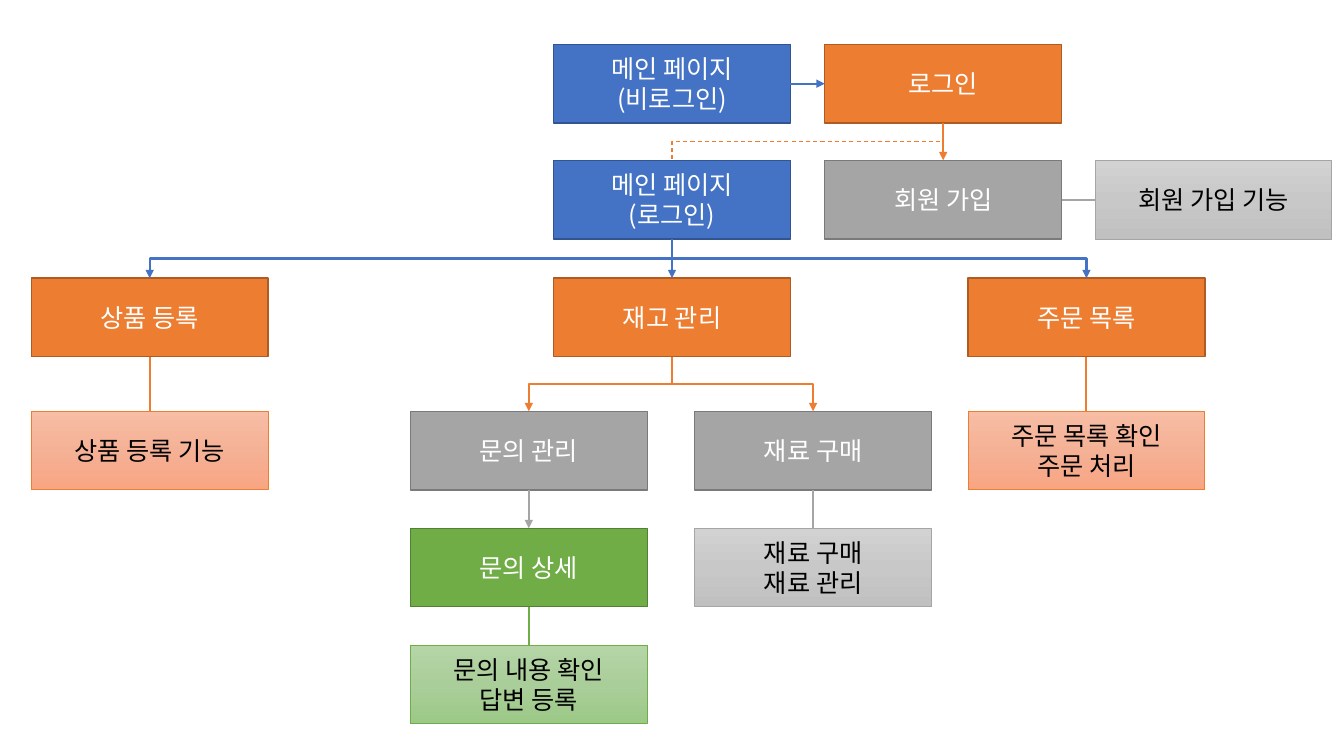
from copy import deepcopy

from lxml.etree import SubElement
from pptx import Presentation
from pptx.dml.color import RGBColor
from pptx.enum.dml import MSO_LINE
from pptx.enum.shapes import MSO_CONNECTOR, MSO_SHAPE
from pptx.enum.text import MSO_ANCHOR, PP_ALIGN
from pptx.oxml.ns import qn
from pptx.util import Inches, Pt

FONT = "Noto Sans CJK KR"
BOX_WIDTH, BOX_HEIGHT = 2.35, 0.78
ROWS = [0.44, 1.59, 2.76, 4.08, 5.24, 6.4]
BLUE, ORANGE, GRAY, GREEN = "4472C4", "ED7D31", "A5A5A5", "70AD47"

# Page boxes: fill and outline
PAGE_OUTLINES = {BLUE: "325491", ORANGE: "AF5C24", GRAY: "7A7A7A", GREEN: "538035"}
# Feature boxes: outline and the three gradient colours
FEATURE_GRADIENTS = {
    ORANGE: ["F7BDA5", "F5B196", "F8A582"],
    GRAY: ["D2D2D2", "C8C8C8", "C0C0C0"],
    GREEN: ["B5D5A7", "AACE9A", "9CC987"],
}

# name: (left, row, colour, lines of text)
PAGES = {
    "guest main": (5.49, 0, BLUE, ["메인 페이지", "(비로그인)"]),
    "login": (8.18, 0, ORANGE, ["로그인"]),
    "member main": (5.49, 1, BLUE, ["메인 페이지", "(로그인)"]),
    "sign up": (8.18, 1, GRAY, ["회원 가입"]),
    "product": (0.31, 2, ORANGE, ["상품 등록"]),
    "stock": (5.49, 2, ORANGE, ["재고 관리"]),
    "orders": (9.6, 2, ORANGE, ["주문 목록"]),
    "inquiries": (4.07, 3, GRAY, ["문의 관리"]),
    "materials": (6.89, 3, GRAY, ["재료 구매"]),
    "inquiry detail": (4.07, 4, GREEN, ["문의 상세"]),
}
FEATURES = {
    "sign up features": (10.86, 1, GRAY, ["회원 가입 기능"]),
    "product features": (0.31, 3, ORANGE, ["상품 등록 기능"]),
    "order features": (9.6, 3, ORANGE, ["주문 목록 확인", "주문 처리"]),
    "material features": (6.89, 4, GRAY, ["재료 구매", "재료 관리"]),
    "inquiry features": (4.07, 5, GREEN, ["문의 내용 확인", "답변 등록"]),
}

# (from, to, colour)
ARROWS = [
    ("guest main", "login", BLUE),
    ("login", "sign up", ORANGE),
    ("member main", "product", BLUE),
    ("member main", "stock", BLUE),
    ("member main", "orders", BLUE),
    ("stock", "inquiries", ORANGE),
    ("stock", "materials", ORANGE),
    ("inquiries", "inquiry detail", GRAY),
]
PLAIN_LINES = [
    ("sign up", "sign up features", GRAY),
    ("product", "product features", ORANGE),
    ("orders", "order features", ORANGE),
    ("materials", "material features", GRAY),
    ("inquiry detail", "inquiry features", GREEN),
]
DASHED_LINE = ("login", "member main", ORANGE)

TOP, LEFT, BOTTOM, RIGHT = range(4)  # connection sites of a rectangle


def color(value):
    return RGBColor.from_string(value)


def fill_gradient(shape, colors):
    """Fill from top to bottom with three evenly spaced colours."""
    shape.fill.gradient()
    shape.fill.gradient_angle = 270
    stop_list = shape._element.spPr.find(qn("a:gradFill")).find(qn("a:gsLst"))
    stop_list.insert(1, deepcopy(stop_list[0]))
    for index, (stop, value) in enumerate(zip(shape.fill.gradient_stops, colors)):
        stop.position = index / 2
        stop.color.rgb = color(value)


def add_box(slide, left, row, lines, outline, outline_width, text_color):
    shape = slide.shapes.add_shape(
        MSO_SHAPE.RECTANGLE, Inches(left), Inches(ROWS[row]),
        Inches(BOX_WIDTH), Inches(BOX_HEIGHT))
    shape.shadow.inherit = False
    shape.line.color.rgb = color(outline)
    shape.line.width = Pt(outline_width)
    frame = shape.text_frame
    frame.word_wrap = True
    frame.vertical_anchor = MSO_ANCHOR.MIDDLE
    for index, line in enumerate(lines):
        paragraph = frame.add_paragraph() if index else frame.paragraphs[0]
        paragraph.alignment = PP_ALIGN.CENTER
        run = paragraph.add_run()
        run.text = line
        run.font.name = FONT
        run.font.size = Pt(18)
        run.font.color.rgb = color(text_color)
        SubElement(run.font._element, qn("a:ea"), typeface=FONT)
    return shape


def turn_elbow(connector):
    """Turn an elbow so that it leaves and arrives vertically."""
    across = connector.end_x - connector.begin_x
    down = connector.end_y - connector.begin_y
    center_x = (connector.begin_x + connector.end_x) // 2
    center_y = (connector.begin_y + connector.end_y) // 2
    connector.width, connector.height = abs(down), abs(across)
    connector.left = center_x - abs(down) // 2
    connector.top = center_y - abs(across) // 2
    transform = connector._element.spPr.find(qn("a:xfrm"))
    transform.set("rot", "5400000" if across < 0 else "16200000")
    transform.set("flipH", "0" if across < 0 else "1")


def link(slide, start, end, line_color, width=1.5, arrow=False, dashed=False):
    same_row, same_column = start.top == end.top, start.left == end.left
    bent = not (same_row or same_column)
    connector = slide.shapes.add_connector(
        MSO_CONNECTOR.ELBOW if bent else MSO_CONNECTOR.STRAIGHT, 0, 0, 0, 0)
    connector.begin_connect(start, RIGHT if same_row else BOTTOM)
    connector.end_connect(end, LEFT if same_row else TOP)
    if bent:
        turn_elbow(connector)
    connector.line.color.rgb = color(line_color)
    connector.line.width = Pt(width)
    if dashed:
        connector.line.dash_style = MSO_LINE.DASH
    if arrow:
        SubElement(connector.line._get_or_add_ln(), qn("a:tailEnd"), type="triangle")
    SubElement(connector._element.spPr, qn("a:effectLst"))


def main():
    presentation = Presentation()
    presentation.slide_width, presentation.slide_height = Inches(13.33), Inches(7.5)
    slide = presentation.slides.add_slide(presentation.slide_layouts[6])

    boxes = {}
    for name, (left, row, fill, lines) in PAGES.items():
        boxes[name] = add_box(slide, left, row, lines, PAGE_OUTLINES[fill], 1, "FFFFFF")
        boxes[name].fill.solid()
        boxes[name].fill.fore_color.rgb = color(fill)
    for name, (left, row, outline, lines) in FEATURES.items():
        boxes[name] = add_box(slide, left, row, lines, outline, 0.5, "000000")
        fill_gradient(boxes[name], FEATURE_GRADIENTS[outline])

    for start, end, line_color in ARROWS:
        link(slide, boxes[start], boxes[end], line_color, arrow=True)
    for start, end, line_color in PLAIN_LINES:
        link(slide, boxes[start], boxes[end], line_color)
    start, end, line_color = DASHED_LINE
    link(slide, boxes[start], boxes[end], line_color, width=0.75, dashed=True)

    presentation.save("out.pptx")


if __name__ == "__main__":
    main()
